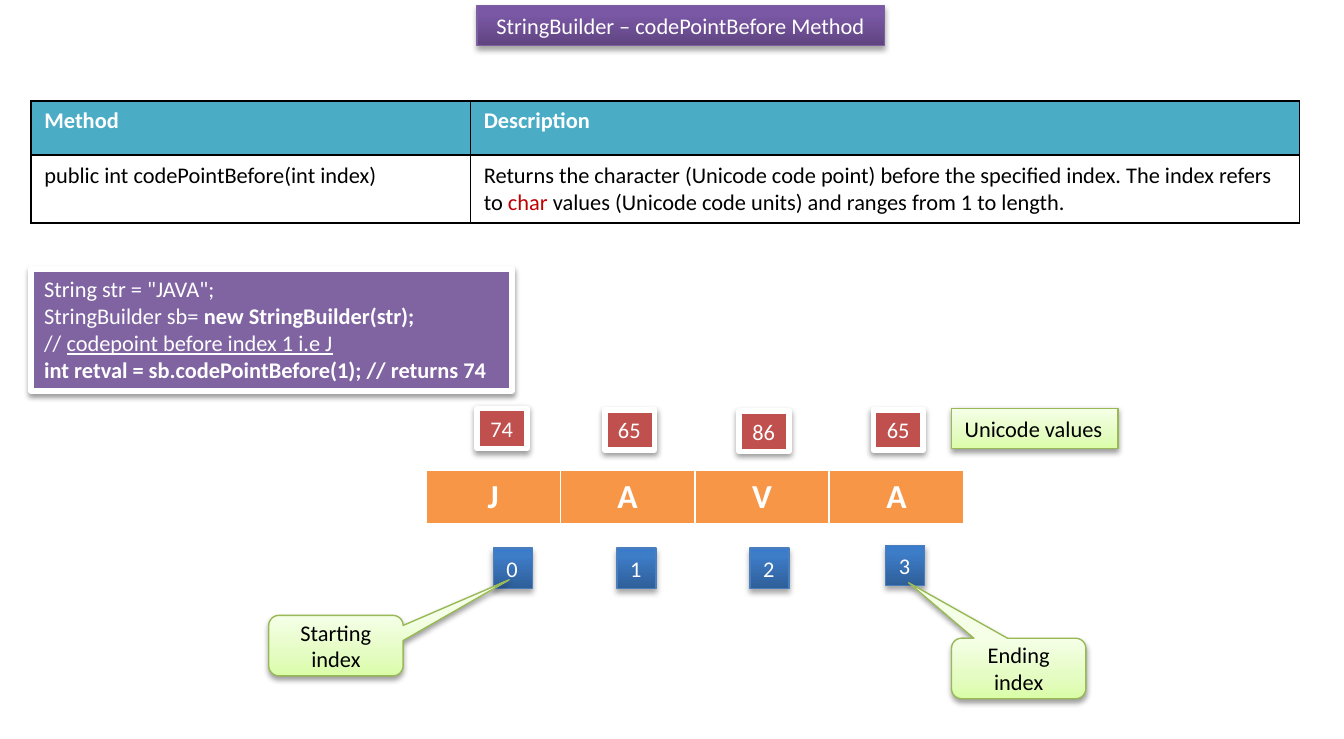
from dataclasses import dataclass
from typing import NamedTuple, Optional

from lxml.etree import SubElement
from pptx import Presentation
from pptx.dml.color import RGBColor
from pptx.enum.shapes import MSO_SHAPE
from pptx.enum.text import MSO_ANCHOR, MSO_AUTO_SIZE, PP_ALIGN
from pptx.oxml.ns import qn
from pptx.util import Emu, Inches, Pt

# Grid of 10 columns and 11 rows
WIDTH, HEIGHT = Inches(10), Inches(5.5)
COLUMN, ROW = WIDTH / 10, HEIGHT / 11

COLORS = {
    "white": "FFFFFF", "black": "000000", "keyword": "C00000",
    "header": "4BACC6", "letter": "F79646", "unicode": "C0504D",
    "code": "8064A2", "title_line": "7D60A0", "index_line": "4B7EBC",
    "label_line": "98B955",
}


class Box(NamedTuple):
    left: float
    top: float
    width: float
    height: float

    def emu(self) -> list[Emu]:
        return [Emu(round(n * unit)) for n, unit in zip(self, (COLUMN, ROW) * 2)]


class Run(NamedTuple):
    text: str
    bold: bool = False
    underline: bool = False
    color: Optional[str] = None


@dataclass(frozen=True)
class Look:
    line: str
    line_width: float
    text: str
    fill: Optional[str] = None
    stops: tuple = ()
    shadow_alpha: int = 38
    shadow_distance: float = 1.6


GREEN_STOPS = ((0, "DAFDA7"), (35, "E4FCC2"), (100, "F5FFE7"))
TITLE = Look("title_line", 0.75, "white", shadow_alpha=35, shadow_distance=1.8,
             stops=((0, "5F4480"), (80, "7B58A6"), (100, "7C57A8")))
INDEX = Look("index_line", 0.75, "white", shadow_alpha=35, shadow_distance=1.8,
             stops=((0, "2F5F99"), (80, "3D7CC7"), (100, "3A7CCB")))
UNICODE = Look("white", 3, "white", fill="unicode")
CODE = Look("white", 3, "white", fill="code")
LABEL = Look("label_line", 0.75, "black", stops=GREEN_STOPS)


@dataclass(frozen=True)
class Character:
    letter: str
    value: str
    value_at: tuple[float, float]
    index_at: tuple[float, float]


CHARACTERS = [
    Character("J", "74", (3.55, 6.08), (3.67, 8.16)),
    Character("A", "65", (4.5, 6.1), (4.59, 8.16)),
    Character("V", "86", (5.5, 6.12), (5.58, 8.16)),
    Character("A", "65", (6.5, 6.1), (6.59, 8.12)),
]
METHOD_ROWS = [
    [[[Run("Method", bold=True)]], [[Run("Description", bold=True)]]],
    [[[Run("public int codePointBefore(int index)")]],
     [[Run("Returns the character (Unicode code point) before the specified "
           "index. The index refers to "),
       Run("char", color="keyword"),
       Run(" values (Unicode code units) and ranges from 1 to length.")]]],
]
CODE_LINES = [
    [Run('String str = "JAVA";')],
    [Run("StringBuilder sb= "), Run("new StringBuilder(str);", bold=True)],
    [Run("// "), Run("codepoint before index 1 i.e J", underline=True)],
    [Run("int retval = sb.codePointBefore(1); // returns 74", bold=True)],
]


def rgb(name: str) -> RGBColor:
    return RGBColor.from_string(COLORS[name])


def write(frame, lines: list, *, color: str, size: float = 12,
          align: PP_ALIGN = PP_ALIGN.LEFT) -> None:
    for number, line in enumerate(lines):
        paragraph = frame.add_paragraph() if number else frame.paragraphs[0]
        paragraph.alignment = align
        for part in line:
            run = paragraph.add_run()
            run.text = part.text
            font = run.font
            font.name, font.size = "Calibri", Pt(size)
            font.bold, font.underline = part.bold, part.underline
            font.color.rgb = rgb(part.color or color)


def add_color(parent, value: str):
    return SubElement(parent, qn("a:srgbClr"), val=value)


def apply_look(shape, look: Look) -> None:
    properties = shape.element.spPr
    if look.fill:
        shape.fill.solid()
        shape.fill.fore_color.rgb = rgb(look.fill)
    else:
        shape.fill.gradient()
        shape.fill.gradient_angle = 90
        stop_list = properties.find(".//" + qn("a:gsLst"))
        for stop in list(stop_list):
            stop_list.remove(stop)
        for position, value in look.stops:
            add_color(SubElement(stop_list, qn("a:gs"), pos=str(position * 1000)), value)
    shape.line.color.rgb = rgb(look.line)
    shape.line.width = Pt(look.line_width)
    # Soft shadow straight below
    shape.shadow.inherit = False
    shadow = SubElement(properties.find(qn("a:effectLst")), qn("a:outerShdw"),
                        blurRad=str(Pt(3.1)), dist=str(Pt(look.shadow_distance)),
                        dir="5400000", rotWithShape="0")
    SubElement(add_color(shadow, COLORS["black"]), qn("a:alpha"),
               val=str(look.shadow_alpha * 1000))


def add_panel(slide, box: Box, lines: list, look: Look, *, wrap: bool = False,
              align: PP_ALIGN = PP_ALIGN.LEFT, tip: Optional[tuple] = None) -> None:
    kind = MSO_SHAPE.ROUNDED_RECTANGULAR_CALLOUT if tip else MSO_SHAPE.RECTANGLE
    shape = slide.shapes.add_shape(kind, *box.emu())
    apply_look(shape, look)
    frame = shape.text_frame
    frame.word_wrap = wrap
    if tip:
        shape.adjustments[0], shape.adjustments[1] = tip
        frame.vertical_anchor = MSO_ANCHOR.MIDDLE
    else:
        frame.auto_size = MSO_AUTO_SIZE.SHAPE_TO_FIT_TEXT
        frame.vertical_anchor = MSO_ANCHOR.TOP
    write(frame, lines, color=look.text, align=align)


def add_grid(slide, box: Box, columns: list[float], rows: list[float]):
    table = slide.shapes.add_table(len(rows), len(columns), *box.emu()).table
    table.first_row = table.horz_banding = False
    for column, width in zip(table.columns, columns):
        column.width = Emu(round(width * COLUMN))
    for row, height in zip(table.rows, rows):
        row.height = Emu(round(height * ROW))
    return table


def style_cell(cell, fill: Optional[str], border: str, bottom: float = 1) -> None:
    properties = cell._tc.get_or_add_tcPr()
    for side, width in (("L", 1), ("R", 1), ("T", 1), ("B", bottom)):
        line = SubElement(properties, qn("a:ln" + side), w=str(Pt(width)))
        add_color(SubElement(line, qn("a:solidFill")), COLORS[border])
    if fill:
        cell.fill.solid()
        cell.fill.fore_color.rgb = rgb(fill)
    else:
        cell.fill.background()


def main() -> None:
    deck = Presentation()
    deck.slide_width, deck.slide_height = WIDTH, HEIGHT
    slide = deck.slides.add_slide(deck.slide_layouts[6])

    add_panel(slide, Box(3.55, 0.08, 3.03, 0.6),
              [[Run("StringBuilder – codePointBefore Method")]], TITLE,
              wrap=True, align=PP_ALIGN.CENTER)

    # Method description
    methods = add_grid(slide, Box(0.23, 1.5, 9.44, 1.82), [3.27, 6.17], [0.81, 1.01])
    looks = [("header", "white"), (None, "black")]
    for r, (entries, (fill, color)) in enumerate(zip(METHOD_ROWS, looks)):
        for c, lines in enumerate(entries):
            style_cell(methods.cell(r, c), fill, "black")
            write(methods.cell(r, c).text_frame, lines, color=color)

    # Letters of the string with their Unicode values and indexes
    letters = add_grid(slide, Box(3.17, 7, 4, 0.82), [1] * len(CHARACTERS), [0.82])
    for index, character in enumerate(CHARACTERS):
        cell = letters.cell(0, index)
        style_cell(cell, "letter", "white", bottom=3)
        write(cell.text_frame, [[Run(character.letter, bold=True)]],
              color="white", size=18, align=PP_ALIGN.CENTER)
        add_panel(slide, Box(*character.value_at, 0.37, 0.6),
                  [[Run(character.value)]], UNICODE)
        add_panel(slide, Box(*character.index_at, 0.29, 0.6), [[Run(str(index))]], INDEX)

    # Labels and callouts
    for text, left, top, tip in (("Starting index", 2, 9.16, (1.29, -1.09)),
                                 ("Ending index", 7.08, 9.5, (-0.82, -1.42))):
        add_panel(slide, Box(left, top, 1, 0.9), [[Run(text)]], LABEL,
                  wrap=True, align=PP_ALIGN.CENTER, tip=tip)
    add_panel(slide, Box(7.08, 6.08, 1.24, 0.6), [[Run("Unicode values")]], LABEL)

    # Example code
    add_panel(slide, Box(0.23, 4, 3.58, 1.82), CODE_LINES, CODE, wrap=True)

    deck.save("out.pptx")


if __name__ == "__main__":
    main()
